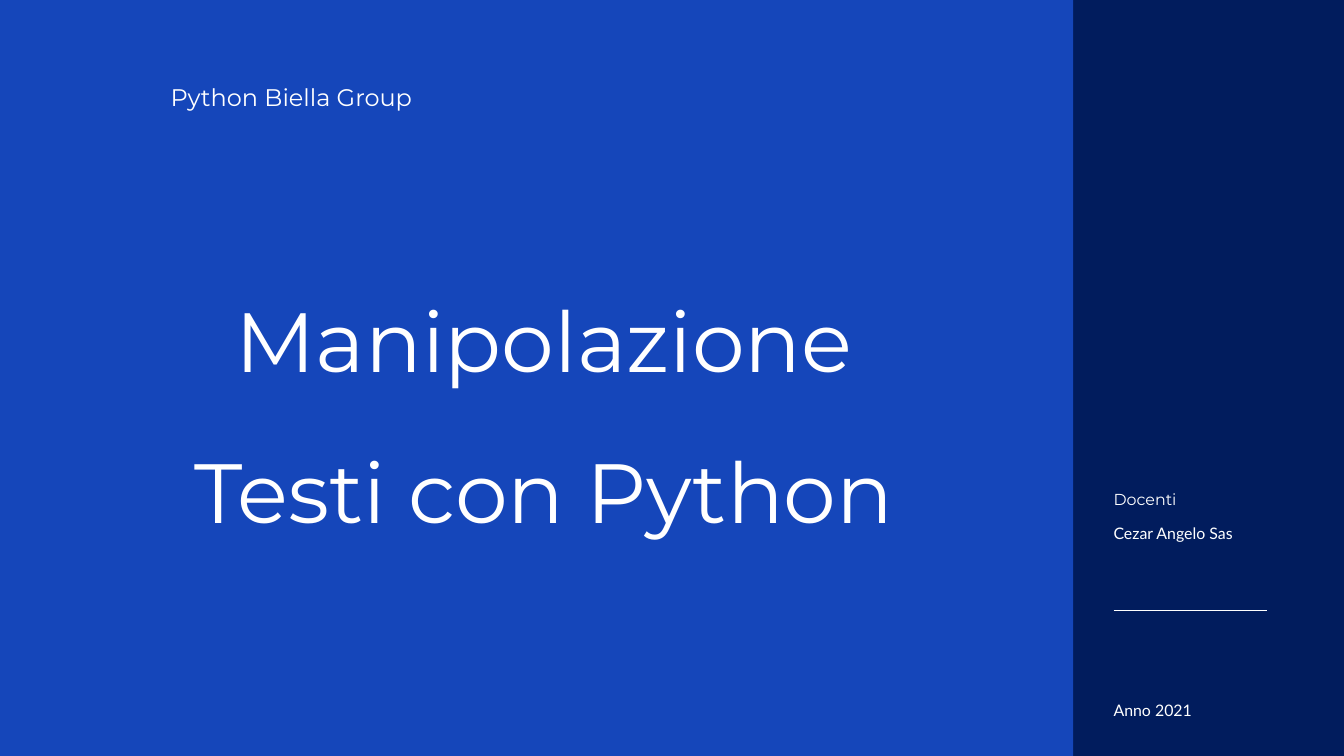
import dataclasses
import pptx
import pptx.dml.color
import pptx.enum.shapes
import pptx.enum.text
import pptx.oxml
import pptx.oxml.ns
import pptx.util

Cm = pptx.util.Cm
Pt = pptx.util.Pt
RGB = pptx.dml.color.RGBColor.from_string


@dataclasses.dataclass(frozen=True)
class Theme:
    """Hold the colours, fonts and type sizes of the deck."""
    navy: str = "011C5D"
    blue: str = "1546BA"
    white: str = "FFFFFF"
    head: str = "Montserrat"
    body: str = "Lato"
    big: float = 90
    group: float = 25.7
    small: float = 17


@dataclasses.dataclass(frozen=True)
class Box:
    """Hold a region in centimetres."""
    x: float
    y: float
    w: float
    h: float

    def inner(self, x, y, w, h):
        """Return a box placed relative to this one."""
        return Box(self.x + x, self.y + y, w, h)

    def cm(self):
        """Return left, top, width and height as lengths."""
        return [Cm(v) for v in (self.x, self.y, self.w, self.h)]


THEME = Theme()
WIDE, HIGH, SPLIT = 50.8, 28.58, 40.56


def style(shape, text, font, size, gap, align=pptx.enum.text.PP_ALIGN.LEFT):
    """Fill a shape with one white paragraph without insets."""
    frame = shape.text_frame
    frame.text = text
    frame.word_wrap = True
    frame.auto_size = pptx.enum.text.MSO_AUTO_SIZE.NONE
    frame.vertical_anchor = pptx.enum.text.MSO_ANCHOR.TOP
    frame.margin_left = frame.margin_right = 0
    frame.margin_top = frame.margin_bottom = 0
    para = frame.paragraphs[0]
    para.alignment = align
    para.line_spacing = gap
    for run in para.runs:
        run.font.name = font
        run.font.size = Pt(size)
        run.font.color.rgb = RGB(THEME.white)


def label(slide, box, text, font, size, gap):
    """Add a text box with a fixed line pitch in points."""
    style(slide.shapes.add_textbox(*box.cm()), text, font, size, Pt(gap))


def cover(slide, box):
    """Place the blue panel with the group name and the title."""
    panel = slide.shapes.add_shape(
        pptx.enum.shapes.MSO_SHAPE.RECTANGLE, *box.cm())
    panel.shadow.inherit = False
    panel.fill.solid()
    panel.fill.fore_color.rgb = RGB(THEME.blue)
    panel.line.fill.background()
    label(slide, box.inner(6.45, 3.3, 9.8, 0.94), "Python Biella Group",
          THEME.head, THEME.group, THEME.group)
    title = slide.shapes.title
    slide.shapes.element.append(title.element)
    title.left, title.top, title.width, title.height = box.inner(
        6.45, 8.99, 28.22, 10.9).cm()
    style(title, "Manipolazione Testi con Python", THEME.head, THEME.big,
          1.5, pptx.enum.text.PP_ALIGN.CENTER)


def aside(slide, box):
    """Place the teacher, the rule and the year in the side strip."""
    rows = [
        ("Docenti", THEME.head, 18.62, 17),
        ("Cezar Angelo Sas", THEME.body, 19.91, 17),
        ("Anno 2021", THEME.body, 26.37, 23.8),
    ]
    for text, font, top, gap in rows:
        label(slide, box.inner(1.53, top, 7, gap / 28), text, font,
              THEME.small, gap)
    left, top, wide, _ = box.inner(1.53, 23.08, 5.79, 0).cm()
    rule = slide.shapes.add_connector(
        pptx.enum.shapes.MSO_CONNECTOR.STRAIGHT, left, top, left + wide, top)
    rule.line.color.rgb = RGB(THEME.white)
    rule.line.width = Pt(0.75)
    rule.element.spPr.append(pptx.oxml.parse_xml(
        "<a:effectLst %s/>" % pptx.oxml.ns.nsdecls("a")))


def main():
    """Build the cover slide and save it."""
    deck = pptx.Presentation()
    deck.slide_width, deck.slide_height = Cm(WIDE), Cm(HIGH)
    slide = deck.slides.add_slide(deck.slide_layouts[5])
    back = slide.background.fill
    back.solid()
    back.fore_color.rgb = RGB(THEME.navy)
    cover(slide, Box(0, 0, SPLIT, HIGH))
    aside(slide, Box(SPLIT, 0, WIDE - SPLIT, HIGH))
    deck.save("out.pptx")


if __name__ == "__main__":
    main()
